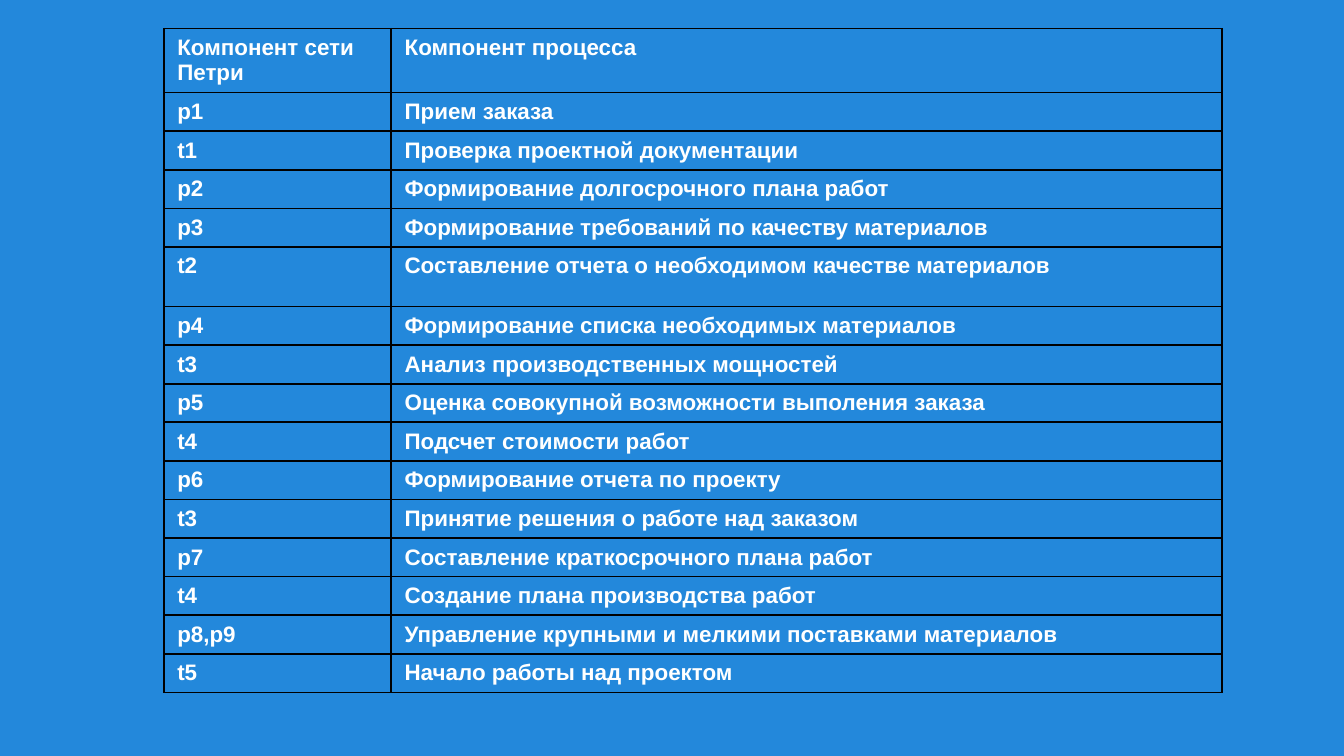
from dataclasses import dataclass

from lxml.etree import SubElement as Sub
from pptx import Presentation
from pptx.dml.color import RGBColor as RGB
from pptx.oxml.ns import qn
from pptx.table import _Cell as Cell
from pptx.util import Pt

BLUE = RGB(0x23, 0x88, 0xDB)
WHITE = RGB(0xFF, 0xFF, 0xFF)
BLACK = RGB(0, 0, 0)
FONT = "Arial"
SIZE = Pt(12)
EDGE = Pt(1)
LEFT, TOP = Pt(87.8), Pt(15.3)
COLS = (Pt(121.8), Pt(445))
LOW, HEAD, TALL = 20.6, 34.3, 32


@dataclass
class Step:
    code: str
    name: str
    high: float = LOW


STEPS = [
    Step("Компонент сети Петри", "Компонент процесса", HEAD),
    Step("p1", "Прием заказа"),
    Step("t1", "Проверка проектной документации"),
    Step("p2", "Формирование долгосрочного плана работ"),
    Step("p3", "Формирование требований по качеству материалов"),
    Step("t2", "Составление отчета о необходимом качестве материалов", TALL),
    Step("p4", "Формирование списка необходимых материалов"),
    Step("t3", "Анализ производственных мощностей"),
    Step("p5", "Оценка совокупной возможности выполения заказа"),
    Step("t4", "Подсчет стоимости работ"),
    Step("p6", "Формирование отчета по проекту"),
    Step("t3", "Принятие решения о работе над заказом"),
    Step("p7", "Составление краткосрочного плана работ"),
    Step("t4", "Создание плана производства работ"),
    Step("p8,p9", "Управление крупными и мелкими поставками материалов"),
    Step("t5", "Начало работы над проектом"),
]


def frame(cell: Cell) -> None:
    """Draw the four borders of a cell."""
    props = cell._tc.get_or_add_tcPr()
    for side in ("a:lnL", "a:lnR", "a:lnT", "a:lnB"):
        line = Sub(props, qn(side), w=str(EDGE))
        fill = Sub(line, qn("a:solidFill"))
        Sub(fill, qn("a:srgbClr"), val=str(BLACK))


def write(cell: Cell, text: str) -> None:
    """Fill a cell with one bold white run."""
    frame(cell)
    cell.fill.background()
    run = cell.text_frame.paragraphs[0].add_run()
    run.text = text
    font = run.font
    font.name, font.size, font.bold = FONT, SIZE, True
    font.color.rgb = WHITE


# Slide and background
deck = Presentation()
deck.slide_width, deck.slide_height = Pt(720), Pt(405)
slide = deck.slides.add_slide(deck.slide_layouts[6])
back = slide.background.fill
back.solid()
back.fore_color.rgb = BLUE

# Table of net components
high = Pt(sum(step.high for step in STEPS))
table = slide.shapes.add_table(
    len(STEPS), len(COLS), LEFT, TOP, sum(COLS), high
).table
table.first_row = table.horz_banding = False
for col, wide in zip(table.columns, COLS):
    col.width = wide
for row, step in zip(table.rows, STEPS):
    row.height = Pt(step.high)
    for cell, text in zip(row.cells, (step.code, step.name)):
        write(cell, text)

deck.save("out.pptx")
